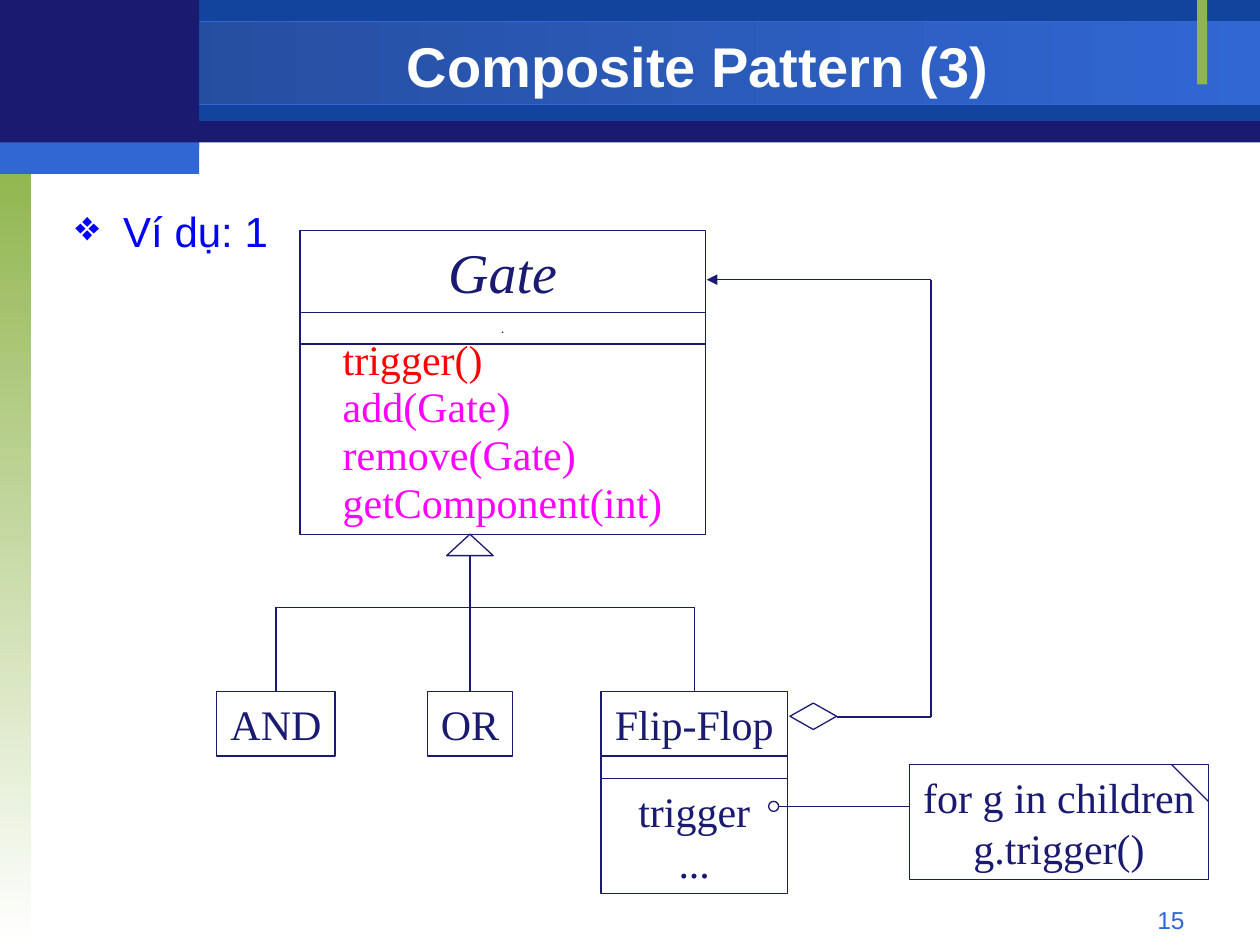
"""Build the Composite Pattern slide: a header band and a class diagram of logic gates."""
from lxml import etree
from pptx import Presentation
from pptx.dml.color import RGBColor
from pptx.enum.shapes import MSO_CONNECTOR, MSO_SHAPE
from pptx.enum.text import MSO_ANCHOR, PP_ALIGN
from pptx.oxml.ns import qn
from pptx.util import Inches, Pt

RECT, TRIANGLE = MSO_SHAPE.RECTANGLE, MSO_SHAPE.ISOSCELES_TRIANGLE
DIAMOND, CIRCLE = MSO_SHAPE.DIAMOND, MSO_SHAPE.OVAL
STRAIGHT = MSO_CONNECTOR.STRAIGHT
LEFT, CENTER, RIGHT = PP_ALIGN.LEFT, PP_ALIGN.CENTER, PP_ALIGN.RIGHT
TOP, MIDDLE = MSO_ANCHOR.TOP, MSO_ANCHOR.MIDDLE

WIDTH, HEIGHT = 10, 7.5
NAVY, ROYAL, SKY, GREEN, WHITE = "1A1A70", "12449E", "3167D3", "90B54D", "FFFFFF"
BLUE, RED, MAGENTA = "0000FF", "FF0000", "FF00FF"
SANS, SERIF = "Arial", "Times New Roman"

TITLE, EXAMPLE, PAGE = "Composite Pattern (3)", "Ví dụ: 1", "15"
METHODS = [("trigger()", RED), ("add(Gate)", MAGENTA),
           ("remove(Gate)", MAGENTA), ("getComponent(int)", MAGENTA)]
CHILDREN = [("AND", 2.19, 0.94), ("OR", 3.73, 0.68), ("Flip-Flop", 5.51, 1.48)]
COMPOSITE_METHODS = ["trigger", "..."]
NOTE = ["for g in children", "g.trigger()"]

SIDE = 1.58
BANDS = [
    ((0, 0, WIDTH, 1.13), [NAVY], None),
    ((SIDE, 0, WIDTH - SIDE, 0.96), [ROYAL], None),
    ((0, 0.17, WIDTH, 0.66), ["234A97", SKY], SKY),
    ((0, 1.25, 0.25, HEIGHT - 1.25), [GREEN, WHITE], None),
    ((9.5, 0, 0.08, 0.67), [GREEN], None),
    ((0, 0, SIDE, 1.17), [NAVY], None),
    ((0, 1.13, SIDE, 0.25), [SKY], None),
]

GATE_X, GATE_W = 2.38, 3.22
GATE_ROWS = [1.83, 2.48, 2.73, 4.24]
BUS_Y, CHILD_Y, CHILD_H = 4.82, 5.49, 0.51
ROOT_X = CHILDREN[1][1]
COMPOSITE_X, COMPOSITE_W = CHILDREN[2][1] - CHILDREN[2][2] / 2, CHILDREN[2][2]
COMPOSITE_ROWS = [CHILD_Y + CHILD_H, 6.18, 7.09]
NOTE_X, NOTE_Y, NOTE_W, NOTE_H, FOLD = 7.22, 6.07, 2.37, 0.91, 0.29
CALL_Y, DOT_X, DOT = 6.4, 6.1, 0.08
LOOP_X, LOOP_TOP, LOOP_BOTTOM = 7.39, 2.22, 5.69
HEAD_W, HEAD_H = 0.37, 0.17


def rgb(color):
    return RGBColor.from_string(color)


def inches(lengths):
    return [Inches(length) for length in lengths]


def write(frame, lines, size, font=SERIF, align=CENTER, anchor=MIDDLE,
          wrap=True, bold=False, italic=False, spacing=None, before=None):
    frame.word_wrap, frame.vertical_anchor = wrap, anchor
    for index, (line, color) in enumerate(lines):
        paragraph = frame.add_paragraph() if index else frame.paragraphs[0]
        paragraph.text, paragraph.alignment = line, align
        paragraph.line_spacing = spacing
        if before is not None:
            paragraph.space_before = Pt(before)
        style = paragraph.font
        style.name, style.size, style.bold, style.italic = font, Pt(size), bold, italic
        style.color.rgb = rgb(color)


def add_outline(slide, kind, place, line=NAVY):
    shape = slide.shapes.add_shape(kind, *inches(place))
    shape.shadow.inherit = False
    shape.fill.background()
    if line:
        shape.line.color.rgb, shape.line.width = rgb(line), Pt(0.75)
    else:
        shape.line.fill.background()
    return shape


def add_line(slide, start, end, arrow=False):
    link = slide.shapes.add_connector(STRAIGHT, *inches(start + end))
    link.line.color.rgb, link.line.width = rgb(NAVY), Pt(0.75)
    properties = link.element.spPr
    if arrow:
        etree.SubElement(properties.find(qn("a:ln")), qn("a:tailEnd"), type="triangle")
    etree.SubElement(properties, qn("a:effectLst"))


def add_bands(slide):
    for place, colors, line in BANDS:
        band = add_outline(slide, RECT, place, line)
        if len(colors) == 1:
            band.fill.solid()
            band.fill.fore_color.rgb = rgb(colors[0])
            continue
        band.fill.gradient()
        band.fill.gradient_angle = 0 if place[2] > place[3] else 270
        for stop, color in zip(band.fill.gradient_stops, colors):
            stop.color.rgb = rgb(color)


def add_texts(slide):
    title = slide.shapes.title
    title.left, title.top, title.width, title.height = inches((SIDE, 0.23, 7.92, 0.58))
    write(title.text_frame, [(TITLE, WHITE)], 32, SANS, bold=True)
    title.element.getparent().append(title.element)

    page = slide.shapes.add_textbox(*inches((7.17, 7.13, 2.33, 0.27)))
    write(page.text_frame, [(PAGE, SKY)], 14, SANS, RIGHT, TOP)

    example = slide.shapes.add_textbox(*inches((0.5, 1.5, 9, 5.5)))
    write(example.text_frame, [(EXAMPLE, BLUE)], 24, SANS, LEFT, TOP, spacing=1.2, before=4.8)
    properties = example.text_frame.paragraphs[0]._p.get_or_add_pPr()
    properties.set("marL", str(Inches(0.38)))
    properties.set("indent", str(-Inches(0.38)))
    etree.SubElement(properties, qn("a:buChar"), char="❖")


def add_gate(slide):
    name, fields, methods = [
        add_outline(slide, RECT, (GATE_X, top, GATE_W, bottom - top)).text_frame
        for top, bottom in zip(GATE_ROWS, GATE_ROWS[1:])]
    write(name, [("Gate", NAVY)], 32, italic=True, before=5)
    write(fields, [(".", NAVY)], 8)
    methods.margin_left = Inches(0.34)
    write(methods, METHODS, 24, align=LEFT, spacing=0.5, before=12.8)


def add_children(slide):
    for name, center, width in CHILDREN:
        box = add_outline(slide, RECT, (center - width / 2, CHILD_Y, width, CHILD_H))
        write(box.text_frame, [(name, NAVY)], 24, wrap=False)
        add_line(slide, (center, BUS_Y), (center, CHILD_Y))
    add_line(slide, (CHILDREN[0][1], BUS_Y), (CHILDREN[-1][1], BUS_Y))
    add_outline(slide, TRIANGLE, (ROOT_X - HEAD_W / 2, GATE_ROWS[-1], HEAD_W, HEAD_H))
    add_line(slide, (ROOT_X, GATE_ROWS[-1] + HEAD_H), (ROOT_X, BUS_Y))


def add_composite(slide):
    fields, methods = [
        add_outline(slide, RECT, (COMPOSITE_X, top, COMPOSITE_W, bottom - top))
        for top, bottom in zip(COMPOSITE_ROWS, COMPOSITE_ROWS[1:])]
    write(methods.text_frame, [(line, NAVY) for line in COMPOSITE_METHODS], 24)

    note = add_outline(slide, RECT, (NOTE_X, NOTE_Y, NOTE_W, NOTE_H))
    write(note.text_frame, [(line, NAVY) for line in NOTE], 24, wrap=False)
    corner = NOTE_X + NOTE_W
    add_line(slide, (corner - FOLD, NOTE_Y), (corner, NOTE_Y + FOLD))
    add_outline(slide, CIRCLE, (DOT_X, CALL_Y - DOT / 2, DOT, DOT))
    add_line(slide, (DOT_X + DOT, CALL_Y), (NOTE_X, CALL_Y))

    add_outline(slide, DIAMOND, (6.27, LOOP_BOTTOM - 0.11, HEAD_W, 0.21))
    loop = [(6.27 + HEAD_W, LOOP_BOTTOM), (LOOP_X, LOOP_BOTTOM),
            (LOOP_X, LOOP_TOP), (GATE_X + GATE_W + 0.01, LOOP_TOP)]
    for start, end in zip(loop, loop[1:]):
        add_line(slide, start, end, arrow=end == loop[-1])


def main():
    deck = Presentation()
    deck.slide_width, deck.slide_height = inches((WIDTH, HEIGHT))
    slide = deck.slides.add_slide(deck.slide_layouts[5])
    for add_part in (add_bands, add_texts, add_gate, add_children, add_composite):
        add_part(slide)
    deck.save("out.pptx")


if __name__ == "__main__":
    main()
